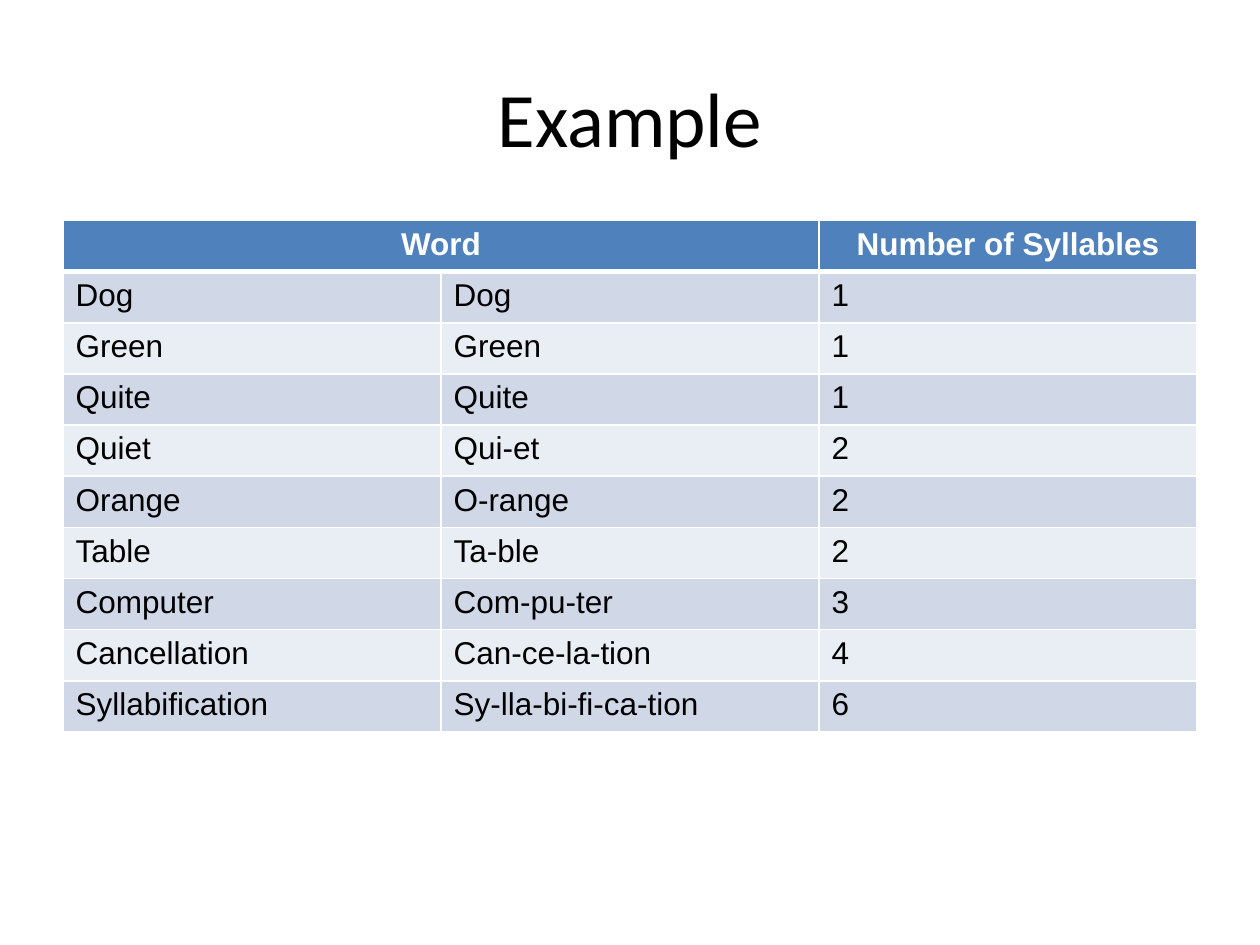
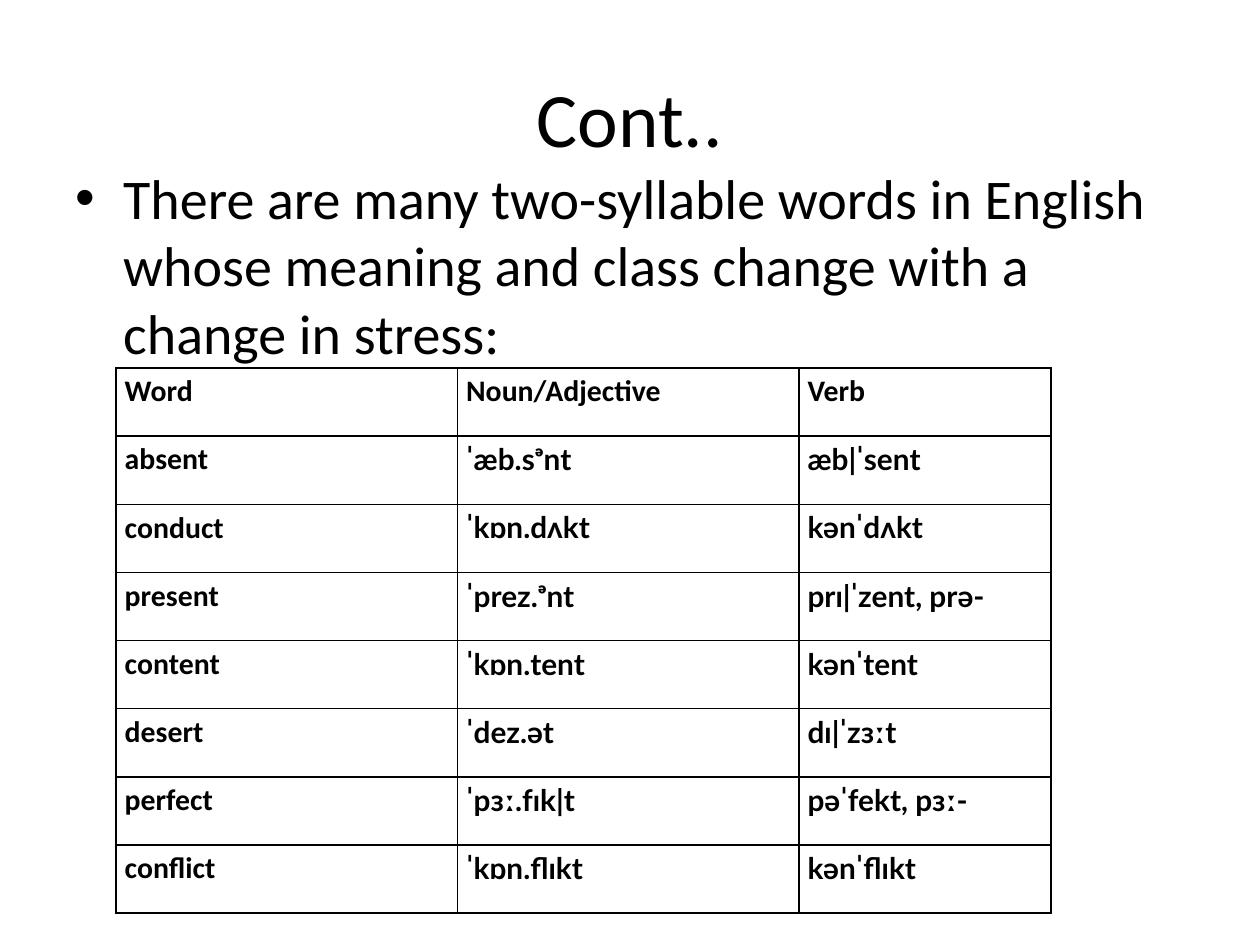
from dataclasses import dataclass

from lxml.etree import SubElement
from pptx import Presentation
from pptx.dml.color import RGBColor
from pptx.enum.text import MSO_ANCHOR as Anchor, PP_ALIGN as Align
from pptx.oxml.ns import qn
from pptx.util import Emu, Pt

PX = 9144  # 100 px to the inch
COLORS = {
    "text": "000000",
    "white": "FFFFFF",
    "header": "4F81BD",
    "band_dark": "D0D8E8",
    "band_light": "E9EDF4",
}


@dataclass(frozen=True)
class Area:
    left: int
    top: int
    width: int
    height: int

    def emu(self) -> list[Emu]:
        return [px(n) for n in (self.left, self.top, self.width, self.height)]


@dataclass(frozen=True)
class TextStyle:
    font: str
    size: int
    color: str = "text"
    bold: bool = False
    align: Align = Align.LEFT
    line_spacing: float | None = None


@dataclass(frozen=True)
class CellLook:
    text: TextStyle
    border: str
    fill: str | None = None
    top: int = 1
    bottom: int = 1
    margins: tuple[int, int] = (10, 5)


TITLE_AREA = Area(50, 30, 900, 125)
TITLE = TextStyle("Calibri", 44, align=Align.CENTER)
BODY = TextStyle("Calibri", 32)
SYLLABLE_HEADER = TextStyle("Arial", 18, "white", True, Align.CENTER)
SYLLABLE_TEXT = TextStyle("Arial", 18)
WORD_TEXT = TextStyle("Calibri", 17, bold=True, line_spacing=1.15)
SOUND_TEXT = TextStyle("Lato", 17, bold=True, line_spacing=1.15)

SYLLABLES = [
    ("Word", "", "Number of Syllables"),
    ("Dog", "Dog", "1"),
    ("Green", "Green", "1"),
    ("Quite", "Quite", "1"),
    ("Quiet", "Qui-et", "2"),
    ("Orange", "O-range", "2"),
    ("Table", "Ta-ble", "2"),
    ("Computer", "Com-pu-ter", "3"),
    ("Cancellation", "Can-ce-la-tion", "4"),
    ("Syllabification", "Sy-lla-bi-fi-ca-tion", "6"),
]
STRESS = [
    ("Word", "Noun/Adjective", "Verb"),
    ("absent", "ˈæb.sᵊnt", "æb|ˈsent"),
    ("conduct", "ˈkɒn.dʌkt", "kənˈdʌkt"),
    ("present", "ˈprez.ᵊnt", "prɪ|ˈzent, prə-"),
    ("content", "ˈkɒn.tent", "kənˈtent"),
    ("desert", "ˈdez.ət", "dɪ|ˈzɜːt"),
    ("perfect", "ˈpɜː.fɪk|t", "pəˈfekt, pɜː-"),
    ("conflict", "ˈkɒn.flɪkt", "kənˈflɪkt"),
]


def px(count: int) -> Emu:
    return Emu(count * PX)


def rgb(name: str) -> RGBColor:
    return RGBColor.from_string(COLORS[name])


def style_paragraph(para, style: TextStyle) -> None:
    para.alignment = style.align
    if style.line_spacing:
        para.line_spacing = style.line_spacing
    for target in (para, *para.runs):
        font = target.font
        font.name, font.size, font.bold = style.font, Pt(style.size), style.bold
        font.color.rgb = rgb(style.color)


def add_text(slide, area: Area, text: str, style: TextStyle,
             anchor: Anchor = Anchor.TOP, bullet: bool = False) -> None:
    frame = slide.shapes.add_textbox(*area.emu()).text_frame
    frame.word_wrap = True
    frame.vertical_anchor = anchor
    frame.text = text
    para = frame.paragraphs[0]
    if bullet:
        properties = para._p.get_or_add_pPr()
        properties.set("marL", str(px(38)))
        properties.set("indent", str(-px(38)))
        SubElement(properties, qn("a:buFont"), typeface="Arial")
        SubElement(properties, qn("a:buChar"), char="•")
    style_paragraph(para, style)


def add_slide(deck, title: str):
    slide = deck.slides.add_slide(deck.slide_layouts[6])
    add_text(slide, TITLE_AREA, title, TITLE, Anchor.MIDDLE)
    return slide


def add_table(slide, area: Area, columns: list[int], rows: list[tuple]):
    """Place an unstyled table whose rows share the height equally."""
    table = slide.shapes.add_table(len(rows), len(columns), *area.emu()).table
    table.first_row = table.horz_banding = False
    for column, width in zip(table.columns, columns):
        column.width = px(width)
    return table


def draw_borders(cell, look: CellLook) -> None:
    properties = cell._tc.get_or_add_tcPr()
    for side, points in (("L", 1), ("R", 1), ("T", look.top), ("B", look.bottom)):
        line = SubElement(properties, qn(f"a:ln{side}"), w=str(Pt(points)))
        fill = SubElement(line, qn("a:solidFill"))
        SubElement(fill, qn("a:srgbClr"), val=COLORS[look.border])


def fill_cell(cell, text: str, look: CellLook) -> None:
    draw_borders(cell, look)
    if look.fill:
        cell.fill.solid()
        cell.fill.fore_color.rgb = rgb(look.fill)
    else:
        cell.fill.background()
    across, down = look.margins
    cell.margin_left = cell.margin_right = px(across)
    cell.margin_top = cell.margin_bottom = px(down)
    cell.text_frame.text = text
    style_paragraph(cell.text_frame.paragraphs[0], look.text)


def fill_table(table, rows: list[tuple], look_at) -> None:
    """Fill each cell with the look that look_at(row, column) returns."""
    for row, texts in enumerate(rows):
        for column, text in enumerate(texts):
            fill_cell(table.cell(row, column), text, look_at(row, column))


def syllable_look(row: int, column: int) -> CellLook:
    if row == 0:
        return CellLook(SYLLABLE_HEADER, "white", "header", bottom=3)
    band = "band_dark" if row % 2 else "band_light"
    return CellLook(SYLLABLE_TEXT, "white", band, top=3 if row == 1 else 1)


def stress_look(row: int, column: int) -> CellLook:
    style = SOUND_TEXT if row and column else WORD_TEXT
    return CellLook(style, "text", margins=(7, 0))


def add_syllable_slide(deck) -> None:
    slide = add_slide(deck, "Example")
    table = add_table(slide, Area(50, 175, 900, 406), [300] * 3, SYLLABLES)
    fill_table(table, SYLLABLES, syllable_look)
    table.cell(0, 0).merge(table.cell(0, 1))


def add_stress_slide(deck) -> None:
    slide = add_slide(deck, "Cont..")
    add_text(slide, Area(50, 125, 900, 625),
             "There are many two-syllable words in English whose meaning "
             "and class change with a change in stress:", BODY, bullet=True)
    table = add_table(slide, Area(92, 292, 742, 433), [271, 271, 200], STRESS)
    fill_table(table, STRESS, stress_look)


def main() -> None:
    deck = Presentation()
    deck.slide_width, deck.slide_height = px(1000), px(750)
    add_syllable_slide(deck)
    add_stress_slide(deck)
    deck.save("out.pptx")


if __name__ == "__main__":
    main()
